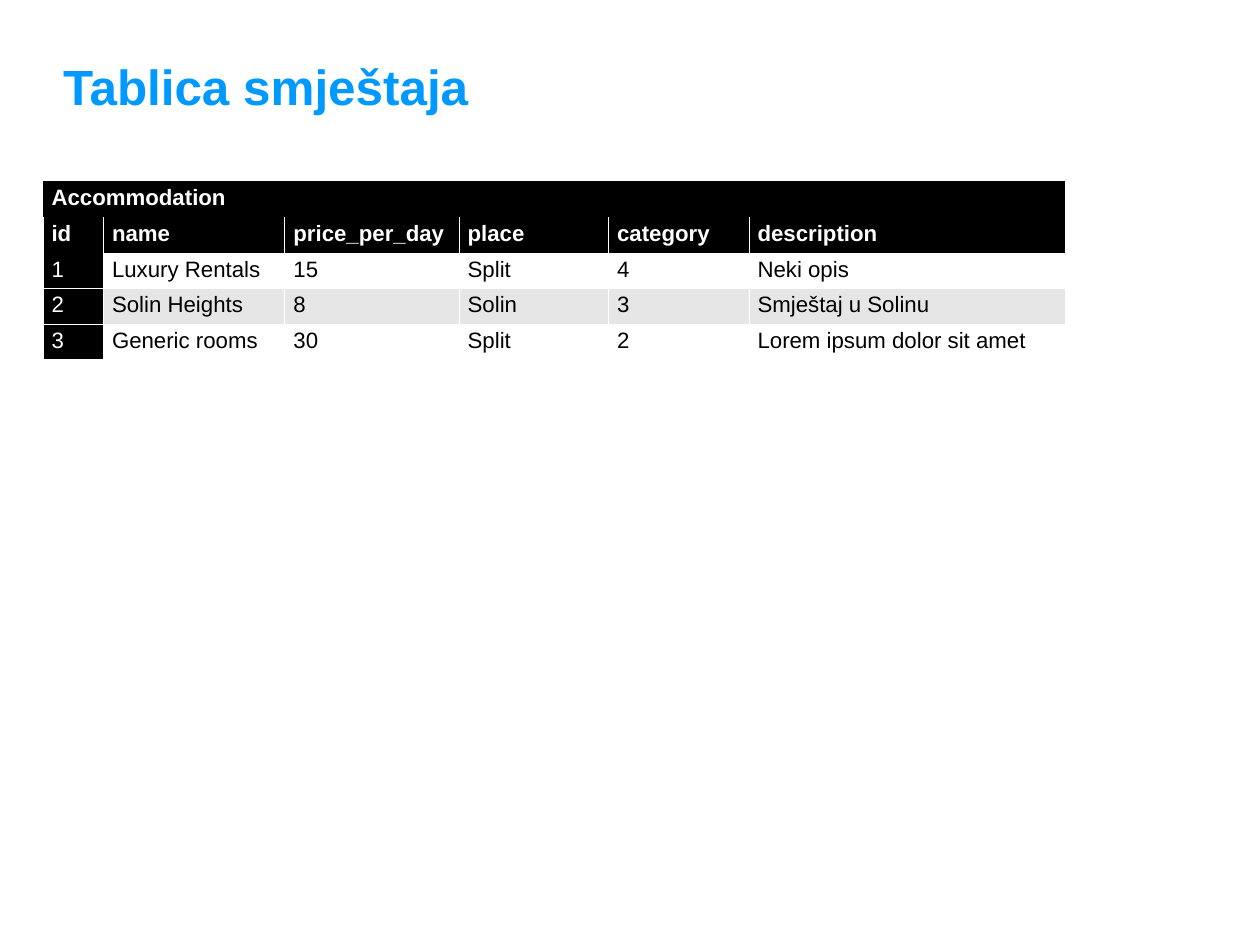
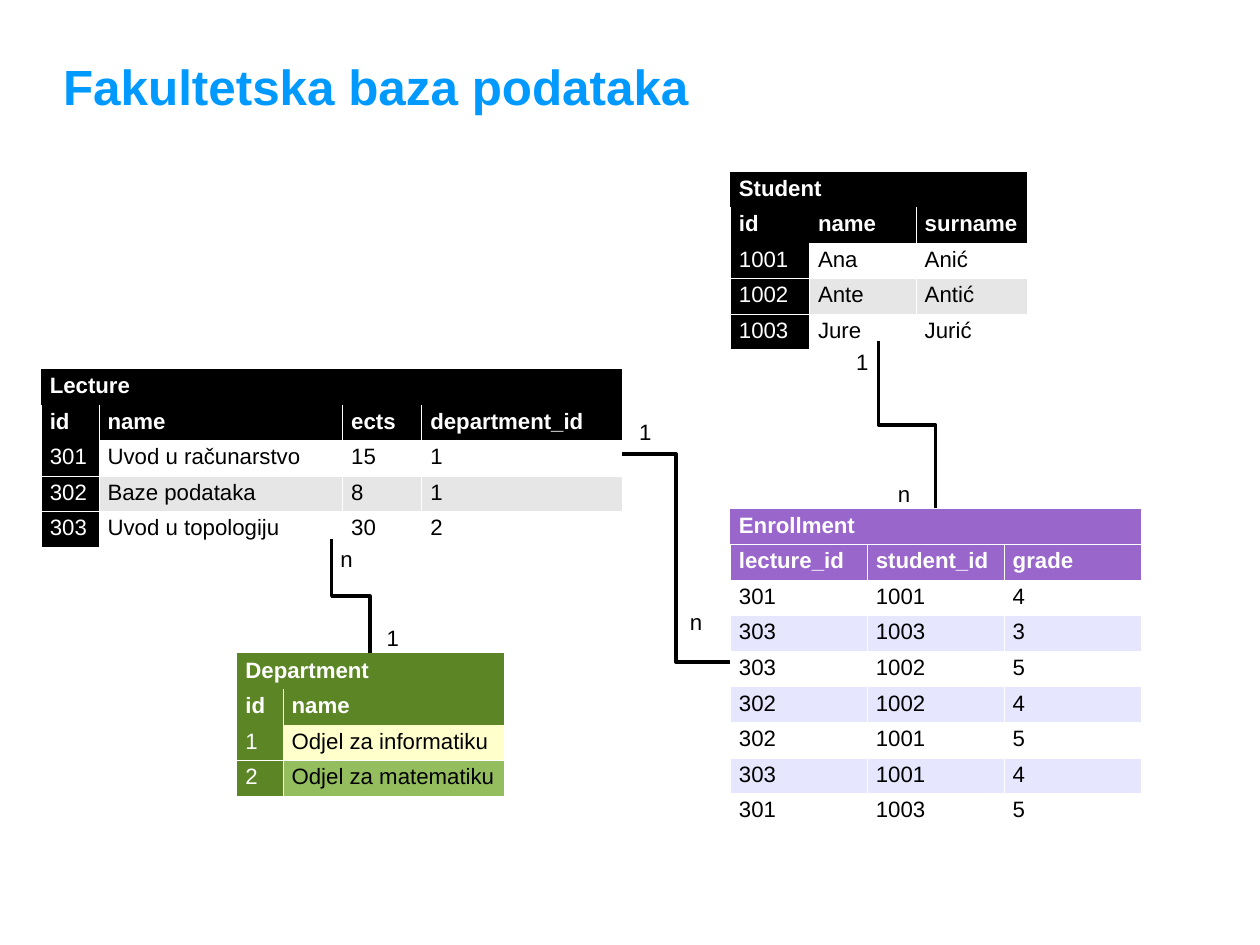
from collections import namedtuple

from lxml.etree import SubElement as Sub
from pptx import Presentation
from pptx.dml.color import RGBColor
from pptx.enum.shapes import MSO_CONNECTOR as Link
from pptx.enum.text import MSO_ANCHOR as Anchor
from pptx.oxml.ns import qn
from pptx.util import Inches, Pt

FONT = "Arial"
BLACK, WHITE, BLUE = "000000", "FFFFFF", "0099FF"
NO_GRID = "{2D5ABB26-0587-4C30-8999-92F81FD0307C}"
ROW = 0.4

Look = namedtuple("Look", "head odd even keyed ruled")
DARK = Look(BLACK, WHITE, "E6E6E6", True, False)
VIOLET = Look("9966CC", WHITE, "E6E6FF", False, True)
GREEN = Look("5C8526", "FFFFCC", "94BD5E", True, False)


def color(code):
    return RGBColor.from_string(code)


def style(frame, size, code, bold=False):
    for para in frame.paragraphs:
        for run in para.runs:
            font = run.font
            font.name, font.size, font.bold = FONT, Pt(size), bold
            font.color.rgb = color(code)


def add_text(slide, text, left, top, width, height, size=18, code=BLACK, bold=False):
    box = slide.shapes.add_textbox(*map(Inches, (left, top, width, height)))
    frame = box.text_frame
    frame.word_wrap = True
    frame.text = text
    style(frame, size, code, bold)
    return frame


def add_title(slide, text):
    frame = add_text(slide, text, 0.71, 0.47, 10.16, 0.99, 40, BLUE, True)
    frame.vertical_anchor = Anchor.MIDDLE
    frame.margin_left = frame.margin_right = 0
    frame.margin_top = frame.margin_bottom = 0


def add_edge(cell, sides):
    props = cell._tc.get_or_add_tcPr()
    for side in "LRTB":
        if side in sides:
            line = Sub(props, qn("a:ln" + side), w=str(Pt(0.06)))
            Sub(Sub(line, qn("a:solidFill")), qn("a:srgbClr"), val=WHITE)


def add_grid(slide, left, top, widths, name, heads, body, look, joined=False):
    rows = [[name] + [""] * (len(heads) - 1), heads] + body
    box = map(Inches, (left, top, sum(widths), ROW * len(rows)))
    table = slide.shapes.add_table(len(rows), len(heads), *box).table
    table._tbl.tblPr.find(qn("a:tableStyleId")).text = NO_GRID
    for col, width in zip(table.columns, widths):
        col.width = Inches(width)
    table.cell(0, 0).merge(table.cell(0, len(heads) - 1))
    for r, row in enumerate(rows):
        for c, text in enumerate(row):
            cell = table.cell(r, c)
            is_head = r < 2
            dark = is_head or (look.keyed and c == 0)
            sides = "" if r == 0 else "LR" if is_head else "LRB"
            if r == 0 and look.ruled:
                sides = "B"
            if r == 1 and joined:
                sides = {0: "L", 1: "R"}.get(c, sides)
            add_edge(cell, sides)
            cell.fill.solid()
            fill = look.head if dark else look.even if r % 2 else look.odd
            cell.fill.fore_color.rgb = color(fill)
            if text:
                cell.text_frame.text = text
                style(cell.text_frame, 18, WHITE if dark else BLACK, is_head)


def add_link(slide, start, end, upright=False):
    ends = [start, end]
    if upright:
        mid_x, mid_y = (start[0] + end[0]) / 2, (start[1] + end[1]) / 2
        ends = [(mid_x + mid_y - y, mid_y + x - mid_x) for x, y in ends]
    spots = [Inches(v) for point in ends for v in point]
    link = slide.shapes.add_connector(Link.ELBOW, *spots)
    link.line.color.rgb = color(BLACK)
    link.line.width = Pt(2.83)
    props = link._element.spPr
    Sub(props.find(qn("a:ln")), qn("a:round"))
    Sub(props, qn("a:effectLst"))
    if upright:
        props.find(qn("a:xfrm")).set("rot", str(270 * 60000))


def add_rooms(slide):
    add_title(slide, "Tablica smještaja")
    add_grid(
        slide, 0.48, 2.04, [0.68, 2.04, 1.96, 1.68, 1.58, 3.56], "Accommodation",
        ["id", "name", "price_per_day", "place", "category", "description"],
        [
            ["1", "Luxury Rentals", "15", "Split", "4", "Neki opis"],
            ["2", "Solin Heights", "8", "Solin", "3", "Smještaj u Solinu"],
            ["3", "Generic rooms", "30", "Split", "2", "Lorem ipsum dolor sit amet"],
        ],
        DARK,
    )


def add_school(slide):
    add_title(slide, "Fakultetska baza podataka")
    add_grid(
        slide, 8.21, 1.93, [0.89, 1.2, 1.25], "Student",
        ["id", "name", "surname"],
        [["1001", "Ana", "Anić"], ["1002", "Ante", "Antić"], ["1003", "Jure", "Jurić"]],
        DARK, joined=True,
    )
    add_grid(
        slide, 0.46, 4.15, [0.65, 2.74, 0.89, 2.26], "Lecture",
        ["id", "name", "ects", "department_id"],
        [
            ["301", "Uvod u računarstvo", "15", "1"],
            ["302", "Baze podataka", "8", "1"],
            ["303", "Uvod u topologiju", "30", "2"],
        ],
        DARK,
    )
    add_grid(
        slide, 8.21, 5.72, [1.54] * 3, "Enrollment",
        ["lecture_id", "student_id", "grade"],
        [
            ["301", "1001", "4"],
            ["303", "1003", "3"],
            ["303", "1002", "5"],
            ["302", "1002", "4"],
            ["302", "1001", "5"],
            ["303", "1001", "4"],
            ["301", "1003", "5"],
        ],
        VIOLET,
    )
    add_grid(
        slide, 2.66, 7.35, [0.52, 2.49], "Department", ["id", "name"],
        [["1", "Odjel za informatiku"], ["2", "Odjel za matematiku"]],
        GREEN,
    )
    add_link(slide, (10.52, 5.72), (9.88, 3.84), upright=True)
    add_link(slide, (8.21, 7.45), (7, 5.11))
    add_link(slide, (4.16, 7.35), (3.73, 6.06), upright=True)
    for text, left, top in [
        ("1", 7.09, 4.66), ("n", 7.66, 6.79),
        ("1", 9.53, 3.87), ("n", 10, 5.35),
        ("1", 4.25, 6.97), ("n", 3.73, 6.08),
    ]:
        add_text(slide, text, left, top, 0.5, 0.38)


def main():
    deck = Presentation()
    deck.slide_width, deck.slide_height = Inches(14.17), Inches(10.63)
    for build in (add_rooms, add_school):
        build(deck.slides.add_slide(deck.slide_layouts[6]))
    deck.save("out.pptx")


if __name__ == "__main__":
    main()
